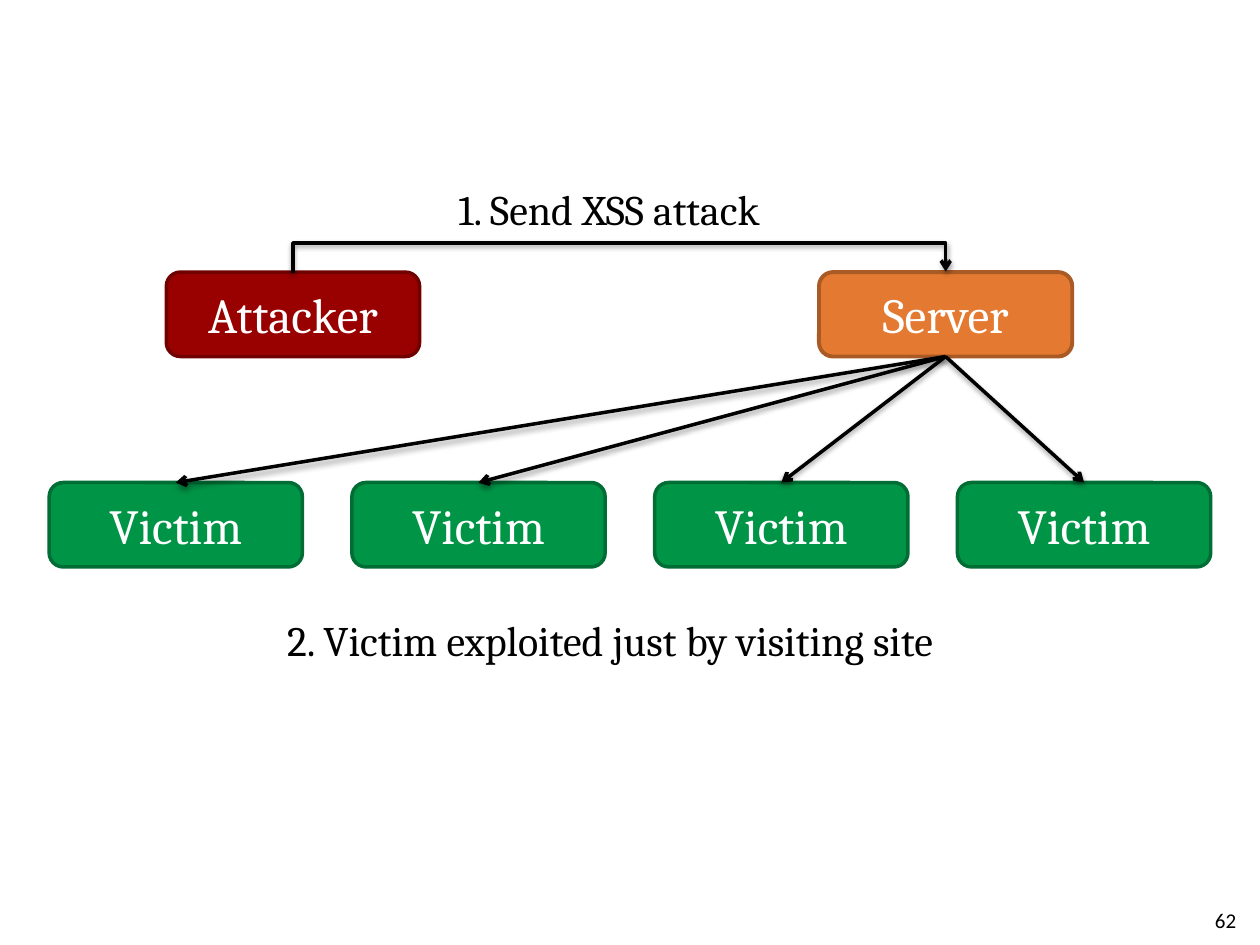
import pptx
import pptx.dml.color
import pptx.enum.shapes
import pptx.enum.text
import pptx.oxml
import pptx.oxml.ns
import pptx.util

RGB = pptx.dml.color.RGBColor
BLACK = RGB(0x00, 0x00, 0x00)
WHITE = RGB(0xFF, 0xFF, 0xFF)
RED = RGB(0x99, 0x00, 0x00)
MAROON = RGB(0x71, 0x00, 0x00)
ORANGE = RGB(0xE4, 0x79, 0x32)
BROWN = RGB(0xA9, 0x5A, 0x25)
GREEN = RGB(0x00, 0x94, 0x46)
FOREST = RGB(0x00, 0x6D, 0x34)

KIND = pptx.enum.shapes.MSO_CONNECTOR
ALIGN = pptx.enum.text.PP_ALIGN
MIDDLE = pptx.enum.text.MSO_ANCHOR.MIDDLE
SPACE = pptx.oxml.ns.nsdecls("a")
SHADOW = (
    f'<a:effectLst {SPACE}><a:outerShdw blurRad="39370" dist="20320" dir="5400000" rotWithShape="0">'
    '<a:srgbClr val="000000"><a:alpha val="38000"/></a:srgbClr></a:outerShdw></a:effectLst>'
)


class Board:
    """Draws styled elements on one slide, measured on a grid of 100 columns by 75 rows."""

    def __init__(self, deck):
        self.slide = deck.slides.add_slide(deck.slide_layouts[6])
        self.shapes = self.slide.shapes
        self.col = deck.slide_width / 100
        self.row = deck.slide_height / 75

    def area(self, x, y, w, h):
        return [round(v) for v in (x * self.col, y * self.row, w * self.col, h * self.row)]

    def fill_text(self, frame, text, size, color, align, font="Cambria"):
        para = frame.paragraphs[0]
        para.alignment = align
        run = para.add_run()
        run.text = text
        run.font.name = font
        run.font.size = pptx.util.Pt(size)
        run.font.color.rgb = color

    def node(self, text, x, y, fill, edge, width=2):
        kind = pptx.enum.shapes.MSO_SHAPE.ROUNDED_RECTANGLE
        box = self.shapes.add_shape(kind, *self.area(x, y, 20.1, 6.7))
        box.shadow.inherit = False
        box.fill.solid()
        box.fill.fore_color.rgb = fill
        box.line.color.rgb = edge
        box.line.width = pptx.util.Pt(width)
        box.text_frame.vertical_anchor = MIDDLE
        self.fill_text(box.text_frame, text, 28, WHITE, ALIGN.CENTER)
        return box

    def label(self, text, x, y, w):
        frame = self.shapes.add_textbox(*self.area(x, y, w, 5)).text_frame
        frame.word_wrap = False
        frame.auto_size = pptx.enum.text.MSO_AUTO_SIZE.SHAPE_TO_FIT_TEXT
        self.fill_text(frame, text, 24, BLACK, ALIGN.LEFT)

    def number(self, text):
        frame = self.shapes.add_textbox(*self.area(75.8, 71, 23.3, 4)).text_frame
        frame.word_wrap = True
        frame.vertical_anchor = MIDDLE
        self.fill_text(frame, text, 12, BLACK, ALIGN.RIGHT, "Calibri")

    def ink(self, line):
        line.line.color.rgb = BLACK
        line.line.width = pptx.util.Pt(2)
        props = line._element.spPr
        stroke = props.find(pptx.oxml.ns.qn("a:ln"))
        stroke.append(pptx.oxml.parse_xml(f'<a:tailEnd {SPACE} type="arrow"/>'))
        props.append(pptx.oxml.parse_xml(SHADOW))

    def arrow(self, start, end):
        line = self.shapes.add_connector(KIND.STRAIGHT, 0, 0, 0, 0)
        line.begin_connect(start, 2)
        line.end_connect(end, 0)
        self.ink(line)

    def bridge(self, start, end, rise):
        left = start.left + start.width // 2
        span = end.left + end.width // 2 - left
        thin = round(self.row / 10)
        x = left + (span - thin) // 2
        y = start.top - span // 2
        line = self.shapes.add_connector(KIND.ELBOW, x, y, x + thin, y + span)
        props = line._element.spPr
        frame = props.find(pptx.oxml.ns.qn("a:xfrm"))
        for key, value in (("rot", "5400000"), ("flipH", "1"), ("flipV", "1")):
            frame.set(key, value)
        guides = props.find(pptx.oxml.ns.qn("a:prstGeom")).get_or_add_avLst()
        bend = round(rise * self.row / thin * 100000)
        guides.append(pptx.oxml.parse_xml(f'<a:gd {SPACE} name="adj1" fmla="val {bend}"/>'))
        self.ink(line)


def main():
    deck = pptx.Presentation()
    deck.slide_width = pptx.util.Inches(10)
    deck.slide_height = pptx.util.Inches(7.5)
    board = Board(deck)
    board.number("62")
    server = board.node("Server", 65, 21.6, ORANGE, BROWN, 2.25)
    rogue = board.node("Attacker", 13.2, 21.6, RED, MAROON)
    board.bridge(rogue, server, 2.4)
    board.label("1. Send XSS attack", 35.4, 14.1, 28)
    prey = [board.node("Victim", 3.9 + 24.03 * i, 38.3, GREEN, FOREST) for i in range(4)]
    for box in prey:
        board.arrow(server, box)
    board.label("2. Victim exploited just by visiting site", 21.8, 48.3, 56.4)
    deck.save("out.pptx")


if __name__ == "__main__":
    main()
